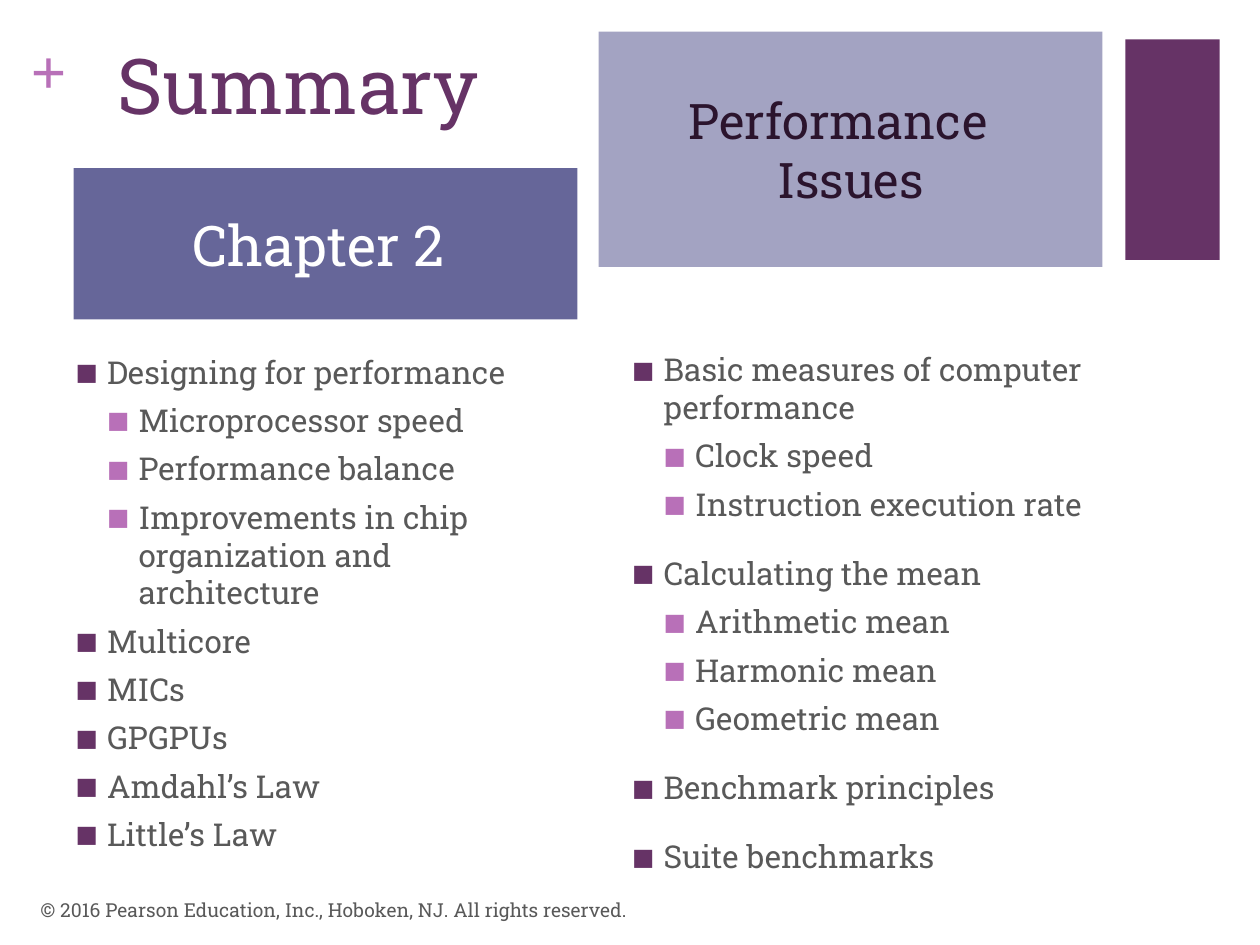
from lxml import etree
from pptx import Presentation
from pptx import util as u
from pptx.dml.color import RGBColor
from pptx.enum import shapes, text
from pptx.oxml import ns

COLORS = {
    "plum": "663366", "orchid": "B870B8", "indigo": "666699", "lavender": "A3A3C2",
    "body": "595959", "white": "FFFFFF", "dark": "2B142D",
}
LEFT, CENTER = text.PP_ALIGN.LEFT, text.PP_ALIGN.CENTER
TOP, MIDDLE = text.MSO_ANCHOR.TOP, text.MSO_ANCHOR.MIDDLE
INDENT = 18

DESIGN_TOPICS = [
    (0, "Designing for performance"),
    (1, "Microprocessor speed"),
    (1, "Performance balance"),
    (1, "Improvements in chip organization and architecture"),
    (0, "Multicore"),
    (0, "MICs"),
    (0, "GPGPUs"),
    (0, "Amdahl’s Law"),
    (0, "Little’s Law"),
]
MEASURE_TOPICS = [
    (0, "Basic measures of computer performance"),
    (1, "Clock speed"),
    (1, "Instruction execution rate"),
    (0, "Calculating the mean"),
    (1, "Arithmetic mean"),
    (1, "Harmonic mean"),
    (1, "Geometric mean"),
    (0, "Benchmark principles"),
    (0, "Suite benchmarks"),
]


def rgb(name):
    return RGBColor.from_string(COLORS[name])


def set_all(target, values):
    for name, value in values.items():
        setattr(target, name, value)


class SummarySlide:
    def __init__(self, slide, font="Roboto Slab"):
        self.slide = slide
        self.font = font

    def place(self, shape, box):
        set_all(shape, dict(zip(("left", "top", "width", "height"), map(u.Pt, box))))

    def frame(self, shape, anchor, inset=(7.2, 3.6)):
        side, end = map(u.Pt, inset)
        set_all(shape.text_frame, {
            "word_wrap": True, "auto_size": text.MSO_AUTO_SIZE.NONE,
            "vertical_anchor": anchor, "margin_left": side, "margin_right": side,
            "margin_top": end, "margin_bottom": end,
        })
        return shape.text_frame

    def paragraph(self, frame, index, words, size, color, align=LEFT,
                  before=0, font=None, bold=False):
        paragraph = frame.add_paragraph() if index else frame.paragraphs[0]
        paragraph.text = words
        set_all(paragraph, {"alignment": align, "space_before": u.Pt(before)})
        set_all(paragraph.font, {"name": font or self.font, "size": u.Pt(size), "bold": bold})
        paragraph.font.color.rgb = rgb(color)
        return paragraph

    def block(self, box, fill):
        block = self.slide.shapes.add_shape(shapes.MSO_SHAPE.RECTANGLE, *map(u.Pt, box))
        block.shadow.inherit = False
        block.fill.solid()
        block.fill.fore_color.rgb = rgb(fill)
        block.line.fill.background()

    def label(self, box, words, size, color, anchor, inset=(7.2, 3.6), **style):
        label = self.slide.shapes.add_textbox(*map(u.Pt, box))
        self.paragraph(self.frame(label, anchor, inset), 0, words, size, color, **style)

    def title(self, box, words):
        title = self.slide.shapes.title
        self.place(title, box)
        self.paragraph(self.frame(title, TOP), 0, words, 44, "plum")

    def heading(self, holder, box, lines, size, color, fill):
        """Each line comes with the right margin that shifts it off centre."""
        heading = self.slide.placeholders[holder]
        self.place(heading, box)
        heading.fill.solid()
        heading.fill.fore_color.rgb = rgb(fill)
        frame = self.frame(heading, MIDDLE, (7.2, 0))
        for index, (words, margin) in enumerate(lines):
            line = self.paragraph(frame, index, words, size, color, CENTER)
            line._p.get_or_add_pPr().set("marR", str(u.Pt(margin)))

    def bullet(self, paragraph, level):
        properties = paragraph._p.get_or_add_pPr()
        properties.set("marL", str(u.Pt(INDENT * (level + 1))))
        properties.set("indent", str(-u.Pt(INDENT)))
        tint = etree.SubElement(properties, ns.qn("a:buClr"))
        color = COLORS["orchid" if level else "plum"]
        etree.SubElement(tint, ns.qn("a:srgbClr"), val=color)
        etree.SubElement(properties, ns.qn("a:buSzPct"), val="75000")
        etree.SubElement(properties, ns.qn("a:buFont"), typeface=self.font)
        etree.SubElement(properties, ns.qn("a:buChar"), char="■")

    def topics(self, holder, box, items, gap):
        """Gap is the space before each top-level topic."""
        topics = self.slide.placeholders[holder]
        self.place(topics, box)
        frame = self.frame(topics, TOP)
        for index, (level, words) in enumerate(items):
            before = 0 if index == 0 else 6 if level else gap
            paragraph = frame.add_paragraph() if index else frame.paragraphs[0]
            self.bullet(paragraph, level)
            paragraph.text = words
            set_all(paragraph, {"level": level, "alignment": LEFT, "space_before": u.Pt(before)})
            set_all(paragraph.font, {"name": self.font, "size": u.Pt(18), "bold": False})
            paragraph.font.color.rgb = rgb("body")


def main():
    deck = Presentation()
    set_all(deck, {"slide_width": u.Pt(720), "slide_height": u.Pt(540)})
    comparison = deck.slide_layouts.get_by_name("Comparison")
    summary = SummarySlide(deck.slides.add_slide(comparison))

    summary.block((643, 22.5, 54, 126), "plum")
    summary.label((17.5, 18, 21, 44), "+", 36, "orchid", TOP, (0, 0),
                  font="Times New Roman", bold=True)
    summary.title((60, 18, 270, 88), "Summary")
    summary.topics(2, (36, 198, 288, 342), DESIGN_TOPICS, gap=6)
    summary.topics(4, (354, 196.5, 300, 343.5), MEASURE_TOPICS, gap=18)
    summary.heading(1, (42, 96, 288, 86.5), [("Chapter 2", 8)], 32, "white", "indigo")
    summary.heading(3, (342, 18, 288, 134.5), [("Performance", 14), ("Issues", 0)],
                    28, "dark", "lavender")
    summary.label((16, 505.5, 482, 29),
                  "© 2016 Pearson Education, Inc., Hoboken, NJ. All rights reserved.",
                  11, "body", MIDDLE)
    deck.save("out.pptx")


if __name__ == "__main__":
    main()
